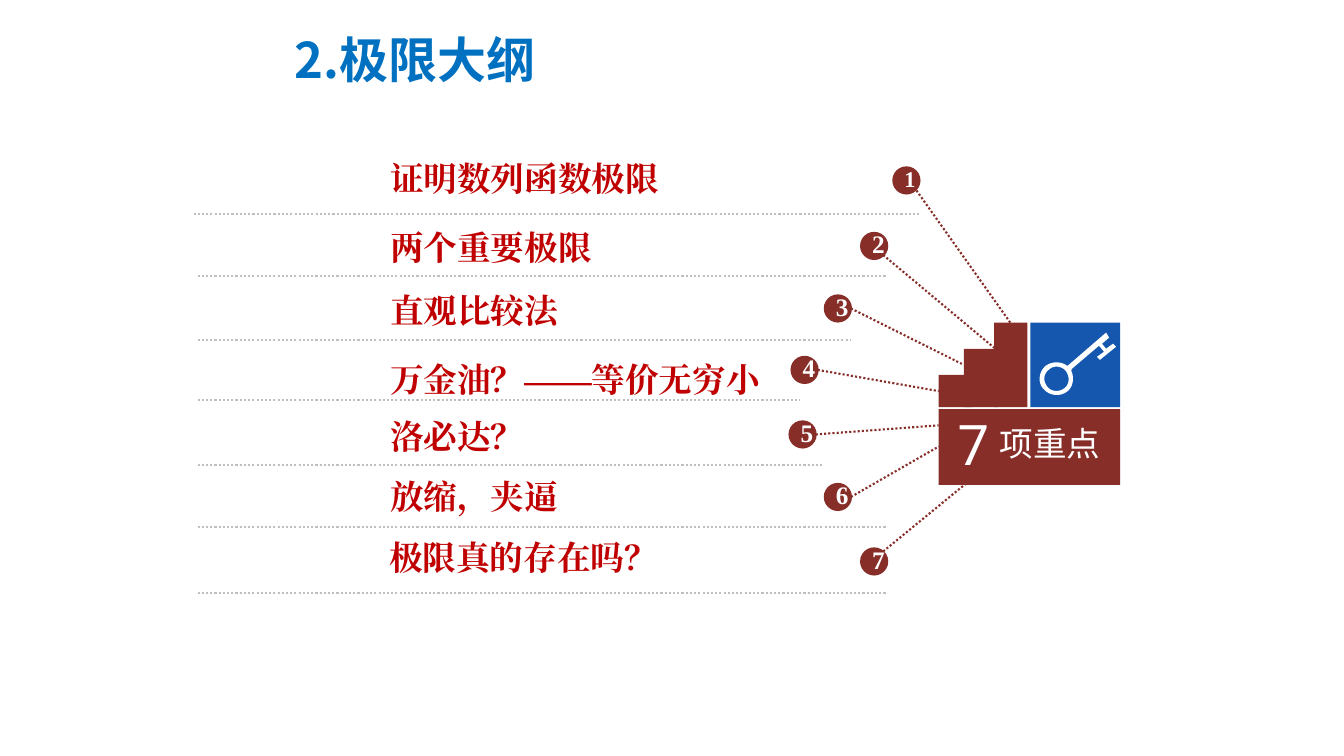
from lxml import etree
from pptx import Presentation
from pptx import util as u
from pptx.dml.color import RGBColor
from pptx.enum import dml, shapes, text
from pptx.oxml import ns

SCALE = 9144  # EMU per px, 100 px to the inch
BRICK = RGBColor(0x87, 0x2E, 0x29)
BLUE = RGBColor(0x15, 0x57, 0xAE)
TITLE_BLUE = RGBColor(0x00, 0x70, 0xC0)
RED = RGBColor(0xC0, 0x00, 0x00)
GREY = RGBColor(0xBF, 0xBF, 0xBF)
WHITE = RGBColor(0xFF, 0xFF, 0xFF)
SANS, SERIF, ROBOTO = "Noto Sans CJK SC", "Times New Roman", "Roboto"
DOT = 28

# label, label box (x, y, width), dot (x, y), ray from and to, rule (left, right, y)
TOPICS = [
    ("证明数列函数极限", (377, 152, 311), (885, 165), (909, 189), (1002, 320), (192, 913, 212)),
    ("两个重要极限", (377, 220, 667), (853, 230), (876, 253), (986, 345), (196, 880, 274)),
    ("直观比较法", (377, 283, 311), (817, 292), (844, 306), (954, 361), (196, 844, 337)),
    ("万金油？——等价无穷小", (377, 351, 392), (784, 353), (811, 367), (931, 388), (196, 793, 397)),
    ("洛必达？", (377, 408, 346), (782, 417), (809, 431), (931, 422), (196, 817, 461)),
    ("放缩，夹逼", (377, 467, 311), (817, 479), (844, 493), (931, 443), (196, 880, 523)),
    ("极限真的存在吗？", (376, 528, 311), (853, 543), (876, 547), (959, 479), (196, 880, 588)),
]

# Each segment is one point (a line) or three points (a Bezier curve).
KEY_OUTLINE = [
    [(1095, 349)], [(1088, 354)], [(1091, 357)], [(1107, 344)], [(1104, 341)],
    [(1097, 346)], [(1093, 341)], [(1100, 335)], [(1097, 330)], [(1060, 362)],
    [(1059, 363), (1058, 363), (1057, 362)],
    [(1052, 359), (1044, 358), (1037, 363)],
    [(1030, 369), (1029, 380), (1035, 386)],
    [(1041, 393), (1052, 394), (1059, 388)],
    [(1065, 383), (1065, 374), (1063, 369)],
    [(1062, 368), (1063, 367), (1063, 366)],
    [(1090, 343)],
]
KEY_HOLE = [
    [(1056, 385)],
    [(1051, 389), (1043, 389), (1039, 384)],
    [(1034, 378), (1035, 371), (1040, 367)],
    [(1045, 362), (1053, 363), (1057, 368)],
    [(1061, 373), (1061, 381), (1056, 385)],
]


def px(length):
    return u.Emu(round(length * SCALE))


def flatten(segments, steps=8):
    """Turn lines and Bezier curves into a list of points in EMU."""
    points = []
    for segment in segments:
        if len(segment) == 1:
            points.append(segment[0])
            continue
        start, (a, b, end) = points[-1], segment
        for step in range(1, steps + 1):
            t = step / steps
            weights = ((1 - t) ** 3, 3 * t * (1 - t) ** 2, 3 * t * t * (1 - t), t ** 3)
            corners = (start, a, b, end)
            points.append(tuple(sum(w * c[axis] for w, c in zip(weights, corners))
                                for axis in (0, 1)))
    return [(px(x), px(y)) for x, y in points]


def write(frame, content, *, size, font, color, bold=False, align=text.PP_ALIGN.LEFT):
    paragraph = frame.paragraphs[0]
    paragraph.alignment = align
    run = paragraph.add_run()
    run.text = content
    run.font.size = u.Pt(size)
    run.font.bold = bold
    run.font.name = font
    run.font.color.rgb = color
    east_asian = etree.SubElement(run.font._element, ns.qn("a:ea"))
    east_asian.set("typeface", font)


class Board:
    def __init__(self, slide):
        self.slide = slide

    def paint(self, shape, color):
        shape.shadow.inherit = False
        shape.fill.solid()
        shape.fill.fore_color.rgb = color
        shape.line.fill.background()
        return shape

    def block(self, x, y, width, height, color, kind=shapes.MSO_SHAPE.RECTANGLE):
        shape = self.slide.shapes.add_shape(kind, px(x), px(y), px(width), px(height))
        return self.paint(shape, color)

    def outline(self, contours, color):
        first, *rest = [flatten(contour) for contour in contours]
        builder = self.slide.shapes.build_freeform(*first[0], scale=1.0)
        builder.add_line_segments(first[1:], close=True)
        for points in rest:
            builder.move_to(*points[0])
            builder.add_line_segments(points[1:], close=True)
        return self.paint(builder.convert_to_shape(), color)

    def label(self, x, y, width, height, content, wrap=True, **style):
        shape = self.slide.shapes.add_textbox(px(x), px(y), px(width), px(height))
        frame = shape.text_frame
        frame.word_wrap = wrap
        frame.auto_size = text.MSO_AUTO_SIZE.SHAPE_TO_FIT_TEXT
        write(frame, content, **style)
        return shape

    def dot(self, x, y, number):
        shape = self.block(x, y, DOT, DOT, BRICK, shapes.MSO_SHAPE.OVAL)
        frame = shape.text_frame
        frame.margin_left = frame.margin_right = px(8)
        frame.margin_top, frame.margin_bottom = 0, px(4)
        frame.vertical_anchor = text.MSO_ANCHOR.MIDDLE
        write(frame, str(number), size=16 if number == 1 else 18, font=SERIF,
              color=WHITE, bold=True, align=text.PP_ALIGN.CENTER)

    def dotted_line(self, start, end, color):
        line = self.slide.shapes.add_connector(
            shapes.MSO_CONNECTOR.STRAIGHT, *map(px, start + end))
        line.line.color.rgb = color
        line.line.width = u.Pt(1.5)
        line.line.dash_style = dml.MSO_LINE.ROUND_DOT
        etree.SubElement(line._element.spPr, ns.qn("a:effectLst"))

    def key_panel(self):
        parts = [
            self.block(931, 406, 180, 75, BRICK),
            self.label(940, 401, 56, 77, "7", wrap=False,
                       size=40, font=ROBOTO, color=WHITE),
            self.label(981, 415, 121, 50, "项重点", wrap=False, size=24, font=SANS,
                       color=WHITE, align=text.PP_ALIGN.CENTER),
            self.block(1022, 320, 89, 84, BLUE),
            self.outline([KEY_OUTLINE, KEY_HOLE], WHITE),
        ]
        for x, y in ((931, 372), (956, 346), (986, 320)):
            parts.append(self.block(x, y, 33, 404 - y, BRICK))
        self.slide.shapes.add_group_shape(parts)


def main():
    presentation = Presentation()
    presentation.slide_width, presentation.slide_height = px(1333), px(750)
    board = Board(presentation.slides.add_slide(presentation.slide_layouts[6]))
    board.key_panel()
    board.label(282, 24, 261, 69, "2.极限大纲",
                size=35, font=SANS, color=TITLE_BLUE, bold=True)
    for number, topic in enumerate(TOPICS, 1):
        content, (x, y, width), dot, ray_start, ray_end, (left, right, rule_y) = topic
        board.dot(*dot, number)
        board.dotted_line(ray_start, ray_end, BRICK)
        board.dotted_line((left, rule_y), (right, rule_y), GREY)
        board.label(x, y, width, 50, content, size=24, font=SERIF, color=RED, bold=True)
    presentation.save("out.pptx")


if __name__ == "__main__":
    main()
